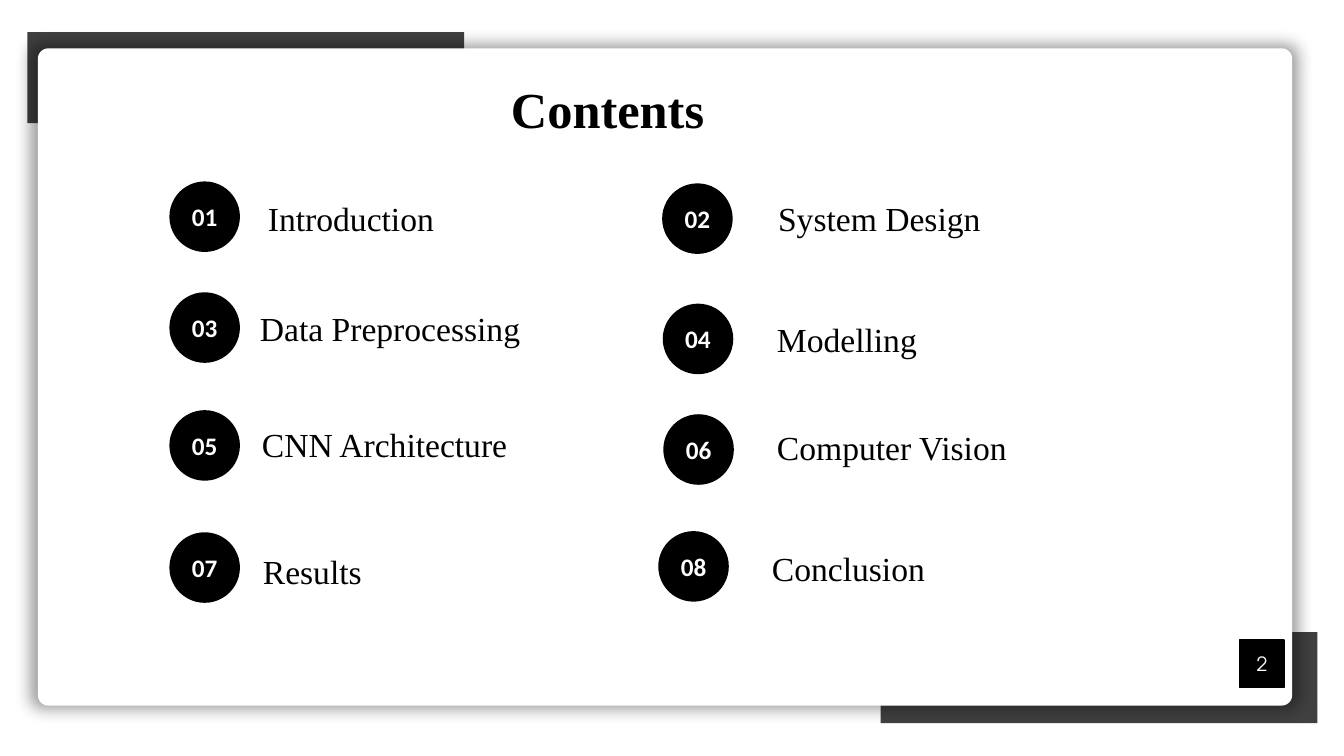
from dataclasses import dataclass

from lxml import etree
from pptx import Presentation
from pptx import util as u
from pptx.dml.color import RGBColor
from pptx.enum import shapes, text
from pptx.oxml import ns

Pt = u.Pt


@dataclass(frozen=True)
class Theme:
    ink: RGBColor = RGBColor(0, 0, 0)
    paper: RGBColor = RGBColor(255, 255, 255)
    corner: RGBColor = RGBColor(64, 64, 64)
    serif: str = "Times New Roman"
    badge_font: str = "Calibri"
    page_font: str = "TeX Gyre Adventor"
    title_size: int = 36
    label_size: int = 24
    badge_size: int = 18
    page_size: int = 14


THEME = Theme()
BADGE = 50.4
LABEL_WIDTH = 280
LABEL_HEIGHT = 36
TOPICS = [
    ("Introduction", (121, 129.6), (63.3, 8.6)),
    ("System Design", (473, 131), (75.7, 7.2)),
    ("Data Preprocessing", (121, 208.8), (57.6, 7.9)),
    ("Modelling", (473.4, 216.9), (74.5, 7)),
    ("CNN Architecture", (121, 293), (59, 6.5)),
    ("Computer Vision", (473.8, 295.9), (74.1, 5.8)),
    ("Results", (121, 380.2), (59.7, 10)),
    ("Conclusion", (470.2, 379.4), (74.1, 8.7)),
]


def add_block(page, kind, box, fill):
    block = page.shapes.add_shape(kind, *map(Pt, box))
    block.shadow.inherit = False
    block.fill.solid()
    block.fill.fore_color.rgb = fill
    block.line.fill.background()
    return block


def write(shape, words, font, size, color, bold=False, align=text.PP_ALIGN.CENTER):
    para = shape.text_frame.paragraphs[0]
    para.alignment = align
    span = para.add_run()
    span.text = words
    span.font.name = font
    span.font.size = Pt(size)
    span.font.bold = bold
    span.font.color.rgb = color


def add_text(page, box, words, size, **style):
    area = page.shapes.add_textbox(*map(Pt, box))
    area.text_frame.word_wrap = True
    write(area, words, THEME.serif, size, THEME.ink, **style)


def add_glow(shape):
    effects = shape._element.spPr.find(ns.qn("a:effectLst"))
    shadow = etree.SubElement(effects, ns.qn("a:outerShdw"), blurRad=str(Pt(12)),
                              sx="101000", sy="101000", algn="ctr", rotWithShape="0")
    color = etree.SubElement(shadow, ns.qn("a:srgbClr"), val=str(THEME.ink))
    etree.SubElement(color, ns.qn("a:alpha"), val="40000")


def draw_frame(page, box):
    left, top, width, height = box
    corner_width, corner_height = 312, 65
    for x, y in ((left + width + 18 - corner_width, top + height + 12.5 - corner_height),
                 (left - 7.5, top - 11.5)):
        add_block(page, shapes.MSO_SHAPE.RECTANGLE,
                  (x, y, corner_width, corner_height), THEME.corner)
    card = add_block(page, shapes.MSO_SHAPE.ROUNDED_RECTANGLE, box, THEME.paper)
    card.adjustments[0] = 0.016
    add_glow(card)


def draw_topic(page, box, number, label, offset):
    left, top, width, height = box
    badge = add_block(page, shapes.MSO_SHAPE.OVAL, box, THEME.ink)
    frame = badge.text_frame
    frame.vertical_anchor = text.MSO_ANCHOR.MIDDLE
    frame.word_wrap = False
    write(badge, f"{number:02d}", THEME.badge_font, THEME.badge_size, THEME.paper, bold=True)
    add_text(page, (left + offset[0], top + offset[1], LABEL_WIDTH, LABEL_HEIGHT),
             label, THEME.label_size, align=text.PP_ALIGN.LEFT)


def draw_page_number(page, box, number):
    marker = add_block(page, shapes.MSO_SHAPE.FLOWCHART_PROCESS, box, THEME.ink)
    marker.line.color.rgb = THEME.ink
    marker.line.width = Pt(1)
    marker.text_frame.vertical_anchor = text.MSO_ANCHOR.MIDDLE
    marker.text_frame.word_wrap = False
    write(marker, str(number), THEME.page_font, THEME.page_size, THEME.paper)


def draw_contents(page):
    draw_frame(page, (27, 34.5, 896, 469.5))
    add_text(page, (44, 52, 780, 51), "Contents", THEME.title_size, bold=True)
    for number, (label, corner, offset) in enumerate(TOPICS, 1):
        draw_topic(page, (*corner, BADGE, BADGE), number, label, offset)
    draw_page_number(page, (885.6, 457.2, 31.7, 33.8), 2)


def main():
    deck = Presentation()
    deck.slide_width, deck.slide_height = Pt(960), Pt(540)
    page = deck.slides.add_slide(deck.slide_layouts[6])
    draw_contents(page)
    deck.save("out.pptx")


if __name__ == "__main__":
    main()
